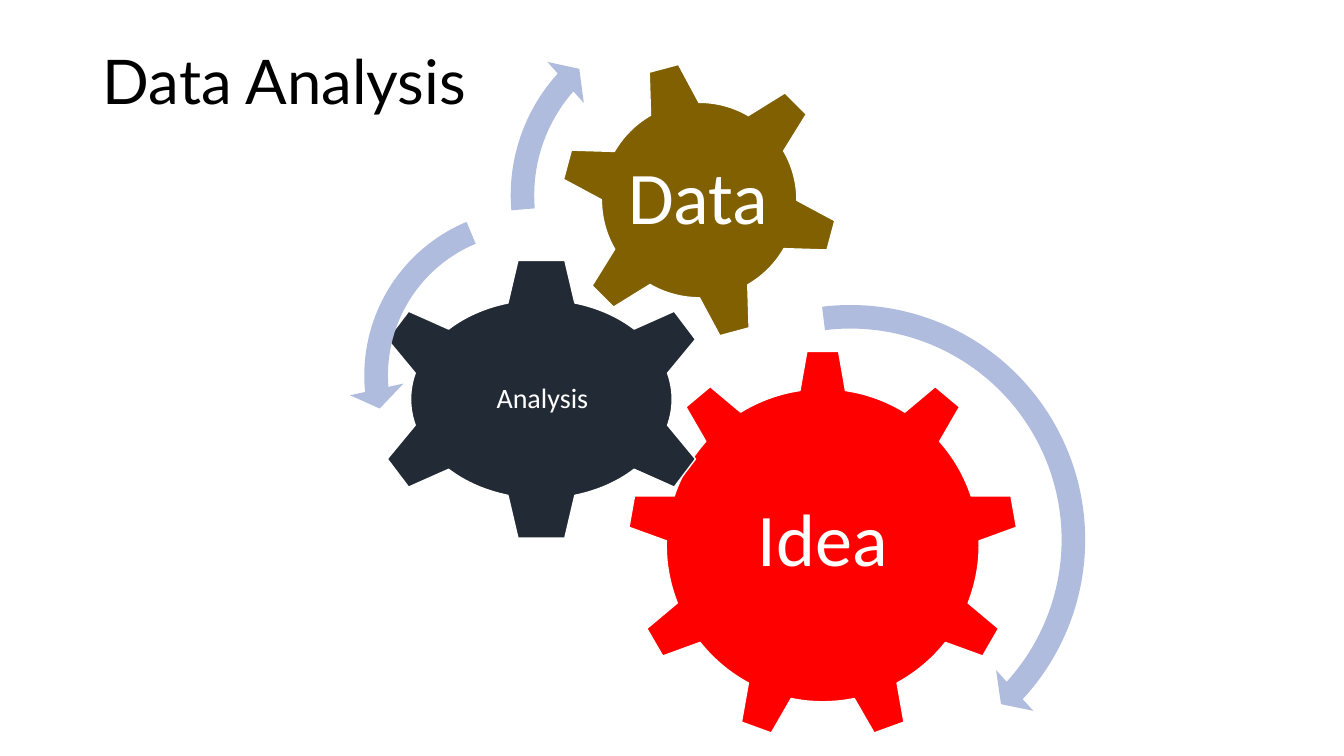
from pptx import Presentation
from pptx.dml.color import RGBColor
from pptx.enum.shapes import MSO_SHAPE
from pptx.enum.text import MSO_ANCHOR, PP_ALIGN
from pptx.util import Inches, Pt

GEAR6, GEAR9 = MSO_SHAPE.GEAR_6, MSO_SHAPE.GEAR_9
RIGHT, LEFT = MSO_SHAPE.CIRCULAR_ARROW, MSO_SHAPE.LEFT_CIRCULAR_ARROW
MID = MSO_ANCHOR.MIDDLE
CENTER, START = PP_ALIGN.CENTER, PP_ALIGN.LEFT

COLORS = {
    "black": "000000", "white": "FFFFFF", "red": "FF0000",
    "navy": "222A35", "olive": "806000", "pale": "B0BCDE",
}
CELL = Inches(0.1)  # one column or row of the grid


def color(name):
    return RGBColor.from_string(COLORS[name])


def write(shape, text, size=53, font="Calibri", ink="white", align=CENTER, inset=0.07):
    frame = shape.text_frame
    frame.word_wrap = True
    frame.vertical_anchor = MID
    frame.margin_left = frame.margin_right = Inches(inset)
    frame.margin_top = frame.margin_bottom = Inches(inset)
    par = frame.paragraphs[0]
    par.alignment = align
    par.line_spacing = 0.9
    run = par.add_run()
    run.text = text
    run.font.size = Pt(size)
    run.font.name = font
    run.font.color.rgb = color(ink)


class Deck:
    def __init__(self):
        self.prs = Presentation()
        self.prs.slide_width = Inches(13.33)
        self.prs.slide_height = Inches(7.5)
        self.slide = self.prs.slides.add_slide(self.prs.slide_layouts[5])
        self.shapes = self.slide.shapes

    def box(self, x, y, wide, high):
        """Turn a centre and a size in grid cells into left, top, width, height."""
        cells = (x - wide / 2, y - high / 2, wide, high)
        return [round(n * CELL) for n in cells]

    def title(self, text, *place):
        head = self.shapes.title
        head.left, head.top, head.width, head.height = self.box(*place)
        write(head, text, size=44, font="Lato", ink="black", align=START, inset=0.1)

    def shape(self, kind, fill, *place):
        item = self.shapes.add_shape(kind, *self.box(*place))
        item.shadow.inherit = False
        item.fill.solid()
        item.fill.fore_color.rgb = color(fill)
        item.line.fill.background()
        return item

    def gear(self, kind, fill, place, text, area, turn=0, **style):
        item = self.shape(kind, fill, *place)
        item.rotation = turn
        item.line.color.rgb = color("white")
        item.line.width = Pt(1)
        write(self.shapes.add_textbox(*self.box(*area)), text, **style)

    def arrow(self, kind, x, y, size, bends):
        item = self.shape(kind, "pale", x, y, size, size)
        for i, bend in enumerate(bends):
            item.adjustments[i] = bend


def main():
    deck = Deck()
    deck.title("Data Analysis", 38.75, 8.35, 59.1, 16.1)

    # Gears with their labels
    deck.gear(GEAR9, "red", (81.6, 54.1, 38.8, 38.8), "Idea", (81.6, 53.8, 23.2, 20))
    deck.gear(GEAR6, "navy", (53.7, 39.6, 34.4, 28.2), "Analysis",
              (53.8, 39.65, 18.4, 13.9), size=20, inset=0.03)
    deck.gear(GEAR6, "olive", (69.35, 19.85, 27.7, 27.7), "Data",
              (69.25, 19.85, 15.5, 15.5), turn=345)

    # Arrows around the gears: thickness, head angle, end, start, head width
    deck.arrow(RIGHT, 84.35, 53.55, 49.7, (0.047, 2.99, 25.526, 157.849, 0.055))
    deck.arrow(LEFT, 52.65, 37.25, 36.1, (0.065, 4.3, 104.891, 148.378, 0.075))
    deck.arrow(RIGHT, 68.55, 19.35, 38.9, (0.06, 3.941, 133.138, 105.082, 0.07))

    deck.prs.save("out.pptx")


if __name__ == "__main__":
    main()
